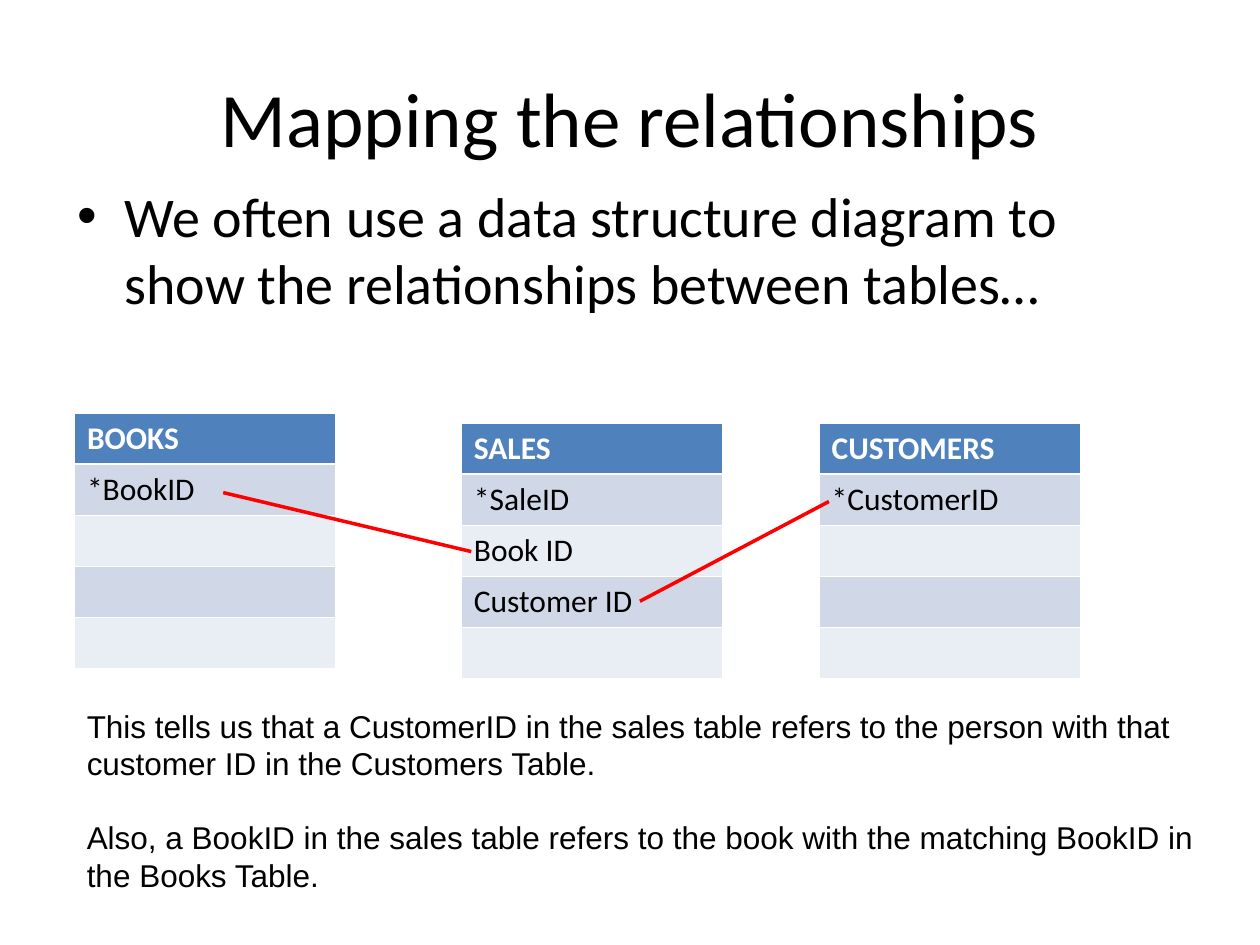
from dataclasses import dataclass

from lxml import etree
from pptx import Presentation
from pptx.dml.color import RGBColor
from pptx.enum import shapes, text
from pptx.oxml import ns
from pptx.util import Cm, Pt


@dataclass(frozen=True)
class Theme:
    ink: str = "000000"
    white: str = "FFFFFF"
    head: str = "4F81BD"
    dark: str = "D0D8E8"
    light: str = "E9EDF4"
    link: str = "FF0000"
    sans: str = "Calibri"
    plain: str = "Arial"
    big: int = 44
    mid: int = 32
    small: int = 18


T = Theme()
ROWS, ROW, WIDE = 5, 1.03, 5.26
TABLES = [
    (1.5, 8.33, ["BOOKS", "*BookID"]),
    (9.3, 8.53, ["SALES", "*SaleID", "Book ID", "Customer ID"]),
    (16.51, 8.53, ["CUSTOMERS", "*CustomerID"]),
]
LINKS = [(9.5, 11.12, 4.5, 9.93), (12.9, 12.12, 16.71, 10.11)]
NOTES = [
    "This tells us that a CustomerID in the sales table refers to the person "
    "with that customer ID in the Customers Table.",
    "Also, a BookID in the sales table refers to the book with the matching "
    "BookID in the Books Table.",
]


def write(par, words, size=T.small, font=T.sans, color=T.ink, bold=False,
          align=None, before=None):
    run = par.add_run()
    run.text = words
    run.font.size = Pt(size)
    run.font.name = font
    run.font.bold = bold
    run.font.color.rgb = RGBColor.from_string(color)
    if align is not None:
        par.alignment = align
    if before is not None:
        par.space_before = Pt(before)


def place(shape, *box):
    shape.left, shape.top, shape.width, shape.height = map(Cm, box)


def fill_holder(holder, box, words, anchor, **style):
    place(holder, *box)
    frame = holder.text_frame
    frame.auto_size = text.MSO_AUTO_SIZE.NONE
    frame.vertical_anchor = anchor
    write(frame.paragraphs[0], words, **style)


def edge(cell, side, width):
    props = cell._tc.get_or_add_tcPr()
    line = etree.SubElement(props, ns.qn(f"a:ln{side}"), w=str(Pt(width)))
    fill = etree.SubElement(line, ns.qn("a:solidFill"))
    etree.SubElement(fill, ns.qn("a:srgbClr"), val=T.white)


def add_entity(slide, left, top, names):
    """Draw one database table: a heading row, then its fields."""
    grid = slide.shapes.add_table(
        ROWS, 1, Cm(left), Cm(top), Cm(WIDE), Cm(ROW * ROWS)).table
    for i in range(ROWS):
        grid.rows[i].height = Cm(ROW)
        cell = grid.cell(i, 0)
        thick = {"T": i == 1, "B": i == 0}
        for side in "LRTB":
            edge(cell, side, 1.5 if thick.get(side) else 0.5)
        cell.fill.solid()
        shade = T.head if i == 0 else T.dark if i % 2 else T.light
        cell.fill.fore_color.rgb = RGBColor.from_string(shade)
        if i < len(names):
            write(cell.text_frame.paragraphs[0], names[i], bold=i == 0,
                  color=T.ink if i else T.white)


def add_link(slide, *ends):
    line = slide.shapes.add_connector(
        shapes.MSO_CONNECTOR.STRAIGHT, *map(Cm, ends))
    line.line.color.rgb = RGBColor.from_string(T.link)
    line.line.width = Pt(2)
    etree.SubElement(line._element.spPr, ns.qn("a:effectLst"))


def add_notes(slide, box, lines):
    frame = slide.shapes.add_textbox(*map(Cm, box)).text_frame
    frame.word_wrap = True
    for i, words in enumerate(lines):
        par = frame.add_paragraph() if i else frame.paragraphs[0]
        write(par, words, font=T.plain, before=20.7 if i else 0)


def main():
    deck = Presentation()
    deck.slide_width, deck.slide_height = Cm(25.4), Cm(19.05)
    slide = deck.slides.add_slide(deck.slide_layouts[1])
    title, body = slide.placeholders
    fill_holder(title, (1.27, 0.76, 22.86, 3.18), "Mapping the relationships",
                text.MSO_ANCHOR.MIDDLE, size=T.big,
                align=text.PP_ALIGN.CENTER)
    fill_holder(body, (1.3, 3.53, 22.86, 3.28),
                "We often use a data structure diagram to show the "
                "relationships between tables…",
                text.MSO_ANCHOR.TOP, size=T.mid, before=8)
    for entity in TABLES:
        add_entity(slide, *entity)
    for ends in LINKS:
        add_link(slide, *ends)
    add_notes(slide, (1.5, 14.12, 23.01, 4.83), NOTES)
    deck.save("out.pptx")


if __name__ == "__main__":
    main()
